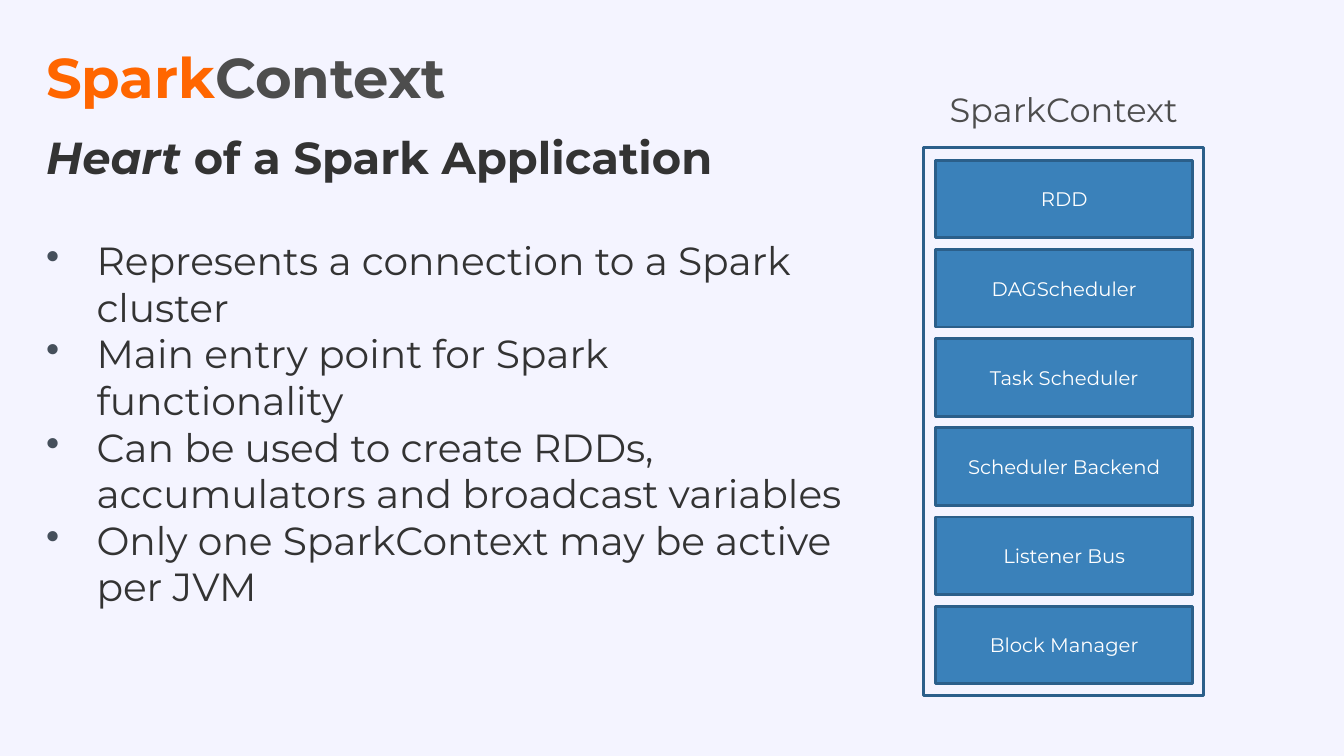
from pptx import Presentation
from pptx.dml.color import RGBColor
from pptx.enum.shapes import MSO_SHAPE as Shape
from pptx.enum.text import MSO_ANCHOR as Anchor, PP_ALIGN as Align
from pptx.oxml import parse_xml
from pptx.oxml.ns import nsdecls
from pptx.util import Inches, Pt

COLORS = {"background": "F4F4FF", "orange": "FF6600", "gray": "4D4D4D",
          "body": "333333", "bullet": "454F5B", "block": "3A81BA",
          "edge": "2B5F8A", "white": "FFFFFF"}


def color(name):
    return RGBColor.from_string(COLORS[name])


def write(paragraph, text, size=28, ink="body", bold=False, italic=False,
          align=Align.LEFT, bullet=False, before=0):
    """Add a run to the paragraph and lay the paragraph out."""
    paragraph.alignment = align
    if before:
        paragraph.space_before = Pt(before)
    if bullet:
        paragraph.line_spacing = 0.99
        layout = paragraph._p.get_or_add_pPr()
        layout.set("marL", str(Inches(0.5)))
        layout.set("indent", str(-Inches(0.5)))
        for xml in (f'<a:buClr {nsdecls("a")}><a:srgbClr val="{COLORS["bullet"]}"/></a:buClr>',
                    f'<a:buChar {nsdecls("a")} char="•"/>'):
            layout.append(parse_xml(xml))
    run = paragraph.add_run()
    run.text = text
    run.font.name, run.font.size = "Montserrat", Pt(size)
    run.font.bold, run.font.italic = bold, italic
    run.font.color.rgb = color(ink)


deck = Presentation()
deck.slide_width, deck.slide_height = Inches(13.33), Inches(7.5)
slide = deck.slides.add_slide(deck.slide_layouts[6])
slide.background.fill.solid()
slide.background.fill.fore_color.rgb = color("background")

# Text areas: left, top, width, height, anchor
areas = [(0.36, 0.19, 12.24, 1, Anchor.BOTTOM),
         (0.36, 1.19, 8.13, 5.05, Anchor.TOP),
         (9.31, 0.89, 2.48, 0.49, Anchor.BOTTOM)]
frames = []
for *place, anchor in areas:
    frame = slide.shapes.add_textbox(*map(Inches, place)).text_frame
    frame.word_wrap, frame.vertical_anchor = True, anchor
    frame.margin_left = frame.margin_right = Inches(0.1)
    frame.margin_top = frame.margin_bottom = Inches(0.1)
    frames.append(frame)
title, body, stack_label = frames

# Title
write(title.paragraphs[0], "Spark", size=40, ink="orange", bold=True)
write(title.paragraphs[0], "Context", size=40, ink="gray", bold=True)

# Heading and bullets
heading = body.paragraphs[0]
write(heading, "Heart ", size=32, bold=True, italic=True)
write(heading, "of a Spark Application", size=32, bold=True)
points = ["Represents a connection to a Spark cluster",
          "Main entry point for Spark functionality",
          "Can be used to create RDDs, accumulators and broadcast variables",
          "Only one SparkContext may be active per JVM"]
for i, point in enumerate(points):
    write(body.add_paragraph(), point, bullet=True, before=0 if i else 39)

# Stack of components inside its frame
write(stack_label.paragraphs[0], "SparkContext", size=24, ink="gray", align=Align.CENTER)
components = ["RDD", "DAGScheduler", "Task Scheduler",
              "Scheduler Backend", "Listener Bus", "Block Manager"]
first_top, pitch = 1.59, 0.885
boxes = [("", 9.16, 1.46, 2.78, 5.44)]
boxes += [(name, 9.28, first_top + row * pitch, 2.55, 0.77)
          for row, name in enumerate(components)]
for name, *place in boxes:
    box = slide.shapes.add_shape(Shape.RECTANGLE, *map(Inches, place))
    box.shadow.inherit = False
    box.line.color.rgb, box.line.width = color("edge"), Pt(2)
    if not name:
        box.fill.background()
        continue
    box.fill.solid()
    box.fill.fore_color.rgb = color("block")
    box.text_frame.vertical_anchor = Anchor.MIDDLE
    write(box.text_frame.paragraphs[0], name, size=14, ink="white", align=Align.CENTER)

deck.save("out.pptx")
